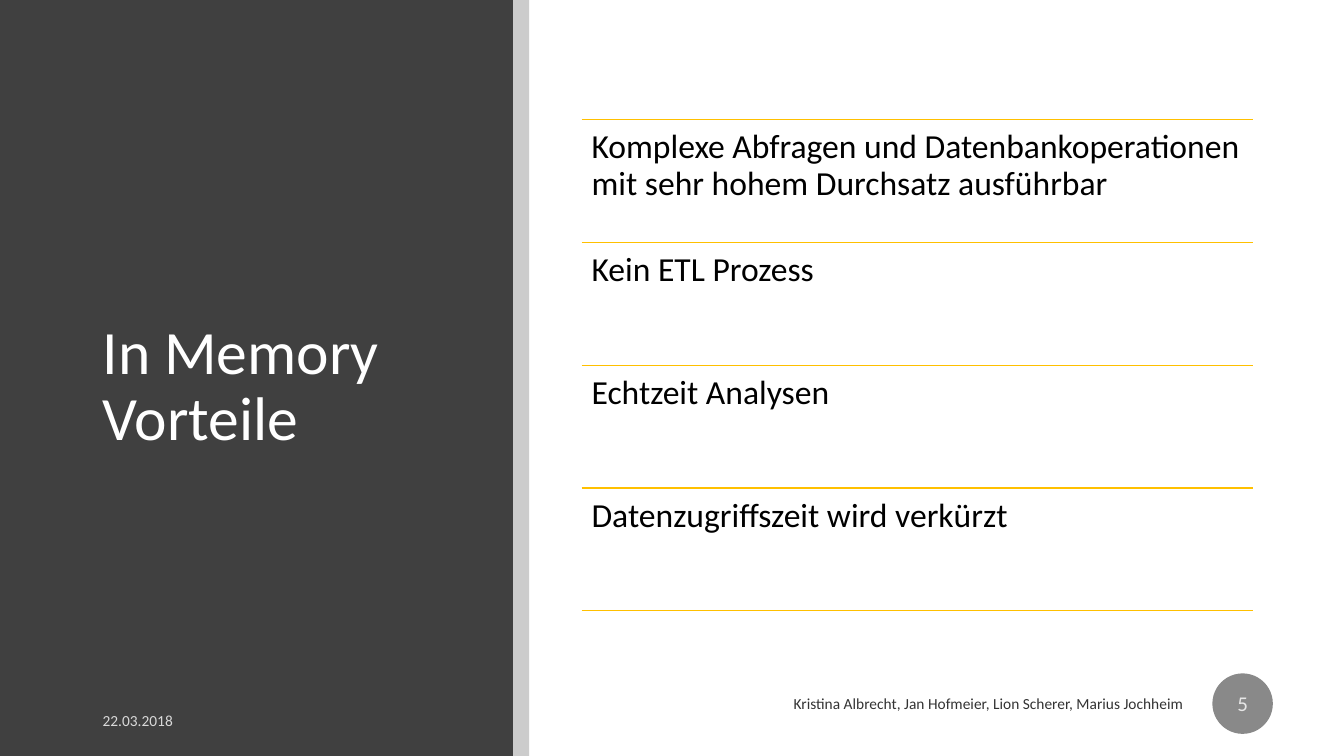
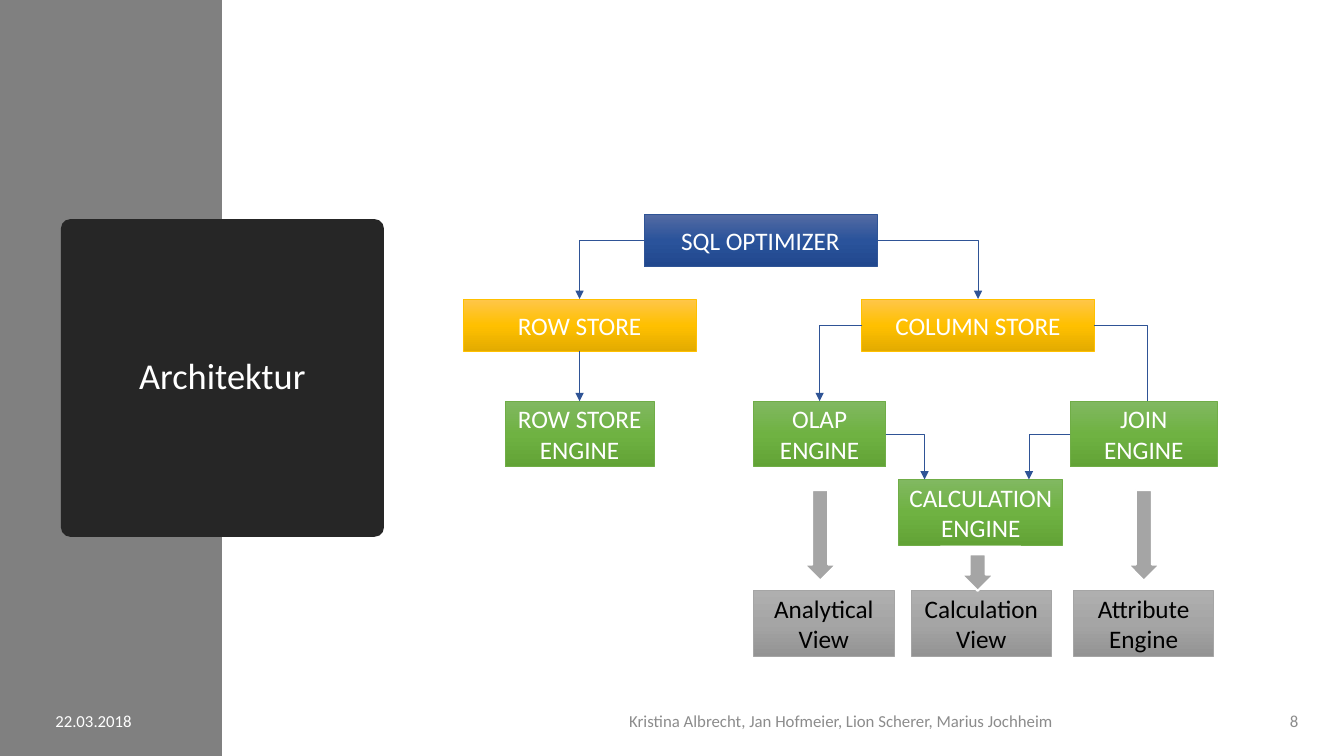
from copy import deepcopy
from typing import NamedTuple

from pptx import Presentation
from pptx.dml.color import RGBColor
from pptx.enum.shapes import MSO_CONNECTOR, MSO_SHAPE
from pptx.enum.text import MSO_ANCHOR, PP_ALIGN
from pptx.oxml.ns import qn
from pptx.oxml.xmlchemy import OxmlElement
from pptx.util import Pt

FONT = "Calibri"
DATE = "22.03.2018"
TEAM = "Kristina Albrecht, Jan Hofmeier, Lion Scherer, Marius Jochheim"
WIDE, HIGH = 960, 540
TOP, LEFT, LOW, RIGHT = 0, 1, 2, 3

HEX = {
    "white": "FFFFFF",
    "black": "000000",
    "panel": "404040",
    "strip": "CCCCCC",
    "pale": "D9D9D9",
    "dark": "333333",
    "badge": "898989",
    "page": "E7E7E7",
    "band": "808080",
    "card": "262626",
    "foot": "8C8C8C",
    "gold": "FFC000",
    "blue": "2F5496",
    "green": "70AD47",
    "gray": "A5A5A5",
}
FADES = {
    "blue": ("546BA3", "2A539B", "21488E"),
    "gold": ("FFC64B", "FFC000", "E3AB00"),
    "green": ("81B861", "6FB242", "62A336"),
    "gray": ("AFAFAF", "A5A5A5", "939393"),
}


class Area(NamedTuple):
    x: float
    y: float
    w: float
    h: float


class Node(NamedTuple):
    text: str
    area: Area
    hue: str
    ink: str = "white"


class Bend(NamedTuple):
    start: str
    side: int
    goal: str
    x: float | None = None
    head: bool = True


class Foot(NamedTuple):
    text: str
    area: Area
    size: float
    ink: str
    align: PP_ALIGN = PP_ALIGN.LEFT


def rgb(name: str) -> RGBColor:
    return RGBColor.from_string(HEX[name])


def write(shape, text: str, *, size: float, ink: str, align=PP_ALIGN.LEFT,
          anchor=MSO_ANCHOR.MIDDLE, space: float = 1, inset: float | None = None) -> None:
    frame = shape.text_frame
    frame.word_wrap = True
    frame.vertical_anchor = anchor
    if inset is not None:
        frame.margin_left = frame.margin_right = Pt(inset)
        frame.margin_top = frame.margin_bottom = Pt(inset)
    para = frame.paragraphs[0]
    para.text = text
    para.alignment = align
    para.line_spacing = space
    para.font.name = FONT
    para.font.size = Pt(size)
    para.font.color.rgb = rgb(ink)


def label(slide, area: Area, text: str, **form) -> None:
    write(slide.shapes.add_textbox(*map(Pt, area)), text, **form)


def block(slide, area: Area, fill: str, kind=MSO_SHAPE.RECTANGLE,
          edge: str | None = None, weight: float = 0.5):
    shape = slide.shapes.add_shape(kind, *map(Pt, area))
    shape.shadow.inherit = False
    shape.fill.solid()
    shape.fill.fore_color.rgb = rgb(fill)
    if edge:
        shape.line.color.rgb = rgb(edge)
        shape.line.width = Pt(weight)
    else:
        shape.line.fill.background()
    return shape


def fade(shape, hue: str) -> None:
    shape.fill.gradient()
    shape.fill.gradient_angle = 270
    stops = shape.element.spPr.find(qn("a:gradFill")).find(qn("a:gsLst"))
    stops.append(deepcopy(stops[0]))
    for spot, (stop, tone) in enumerate(zip(shape.fill.gradient_stops, FADES[hue])):
        stop.position = spot / 2
        stop.color.rgb = RGBColor.from_string(tone)


def wire(slide, x1: float, y1: float, x2: float, y2: float, hue: str, weight: float,
         bent: bool = False, head: bool = False):
    kind = MSO_CONNECTOR.ELBOW if bent else MSO_CONNECTOR.STRAIGHT
    line = slide.shapes.add_connector(kind, Pt(x1), Pt(y1), Pt(x2), Pt(y2))
    line.line.color.rgb = rgb(hue)
    line.line.width = Pt(weight)
    form = line.element.spPr
    if bent:
        form.find(qn("a:prstGeom")).set("prst", "bentConnector2")
    if head:
        tip = OxmlElement("a:tailEnd")
        tip.set("type", "triangle")
        form.find(qn("a:ln")).append(tip)
    form.append(OxmlElement("a:effectLst"))
    return line


def title(slide, area: Area, text: str, size: float, align=PP_ALIGN.LEFT) -> None:
    label(slide, area, text, size=size, ink="white", align=align, space=0.9)


def footer(slide, parts: list[Foot]) -> None:
    for part in parts:
        label(slide, part.area, part.text, size=part.size, ink=part.ink, align=part.align)


def merits(slide) -> None:
    block(slide, Area(0, 0, 366.5, HIGH), "panel")
    block(slide, Area(366.5, 0, 11.5, HIGH), "strip")
    title(slide, Area(66.2, 64, 262.8, 425.5), "In Memory Vorteile", 44)
    footer(slide, [
        Foot(DATE, Area(66.2, 500.5, 216, 28.8), 11, "pale"),
        Foot(TEAM, Area(430, 488.2, 422.6, 28.8), 11, "dark", PP_ALIGN.RIGHT),
    ])
    badge = block(slide, Area(866, 481, 43.2, 43.2), "badge", MSO_SHAPE.OVAL)
    write(badge, "5", size=15, ink="page", align=PP_ALIGN.CENTER)

    points = [
        "Komplexe Abfragen und Datenbankoperationen mit sehr hohem Durchsatz ausführbar",
        "Kein ETL Prozess",
        "Echtzeit Analysen",
        "Datenzugriffszeit wird verkürzt",
    ]
    x, y, w, step = 415.5, 85.5, 479.5, 87.7
    for row in range(len(points) + 1):
        wire(slide, x, y + row * step, x + w, y + row * step, "gold", 1)
    for row, text in enumerate(points):
        label(slide, Area(x, y + row * step, w, step), text, size=24, ink="black",
              anchor=MSO_ANCHOR.TOP, space=0.9, inset=7.2)


def design(slide) -> None:
    block(slide, Area(0, 0, 158.5, HIGH), "band")
    card = Area(43.5, 156.5, 230.8, 227)
    back = block(slide, card, "card", MSO_SHAPE.ROUNDED_RECTANGLE)
    back.adjustments[0] = 0.03
    title(slide, card, "Architektur", 26, PP_ALIGN.CENTER)
    footer(slide, [
        Foot(DATE, Area(32.4, 500.5, 116.6, 28.8), 12, "white"),
        Foot(TEAM, Area(324, 500.5, 553.7, 28.8), 12, "foot", PP_ALIGN.CENTER),
        Foot("8", Area(890.6, 500.5, 44, 28.8), 12, "foot", PP_ALIGN.RIGHT),
    ])

    w, h, tall = 166.4, 37.4, 46.8
    store, stage, view = 213.6, 286.6, 422
    nodes = {
        "sql": Node("SQL OPTIMIZER", Area(460, 153, w, h), "blue"),
        "row": Node("ROW STORE", Area(330.8, store, w, h), "gold"),
        "col": Node("COLUMN STORE", Area(615.4, store, w, h), "gold"),
        "rows": Node("ROW STORE ENGINE", Area(360.7, stage, 106.6, tall), "green"),
        "olap": Node("OLAP ENGINE", Area(538.3, stage, 94.4, tall), "green"),
        "join": Node("JOIN ENGINE", Area(764.6, stage, 104.8, tall), "green"),
        "calc": Node("CALCULATION ENGINE", Area(642, 342.5, 117.2, tall), "green"),
        "look": Node("Analytical View", Area(538.3, view, 100.3, tall), "gray", "black"),
        "sum": Node("Calculation View", Area(650.8, view, 100.3, tall), "gray", "black"),
        "trait": Node("Attribute Engine", Area(766.8, view, 100.3, tall), "gray", "black"),
    }
    boxes = {}
    for key, node in nodes.items():
        box = block(slide, node.area, node.hue, edge=node.hue)
        fade(box, node.hue)
        write(box, node.text, size=18, ink=node.ink, align=PP_ALIGN.CENTER)
        boxes[key] = box

    bends = [
        Bend("sql", RIGHT, "col"),
        Bend("sql", LEFT, "row"),
        Bend("col", LEFT, "olap"),
        Bend("col", RIGHT, "join", 819.4, False),
        Bend("join", LEFT, "calc", 735),
        Bend("olap", RIGHT, "calc", 660.4),
    ]
    for bend in bends:
        start, goal = nodes[bend.start].area, nodes[bend.goal].area
        x = start.x + (start.w if bend.side == RIGHT else 0)
        end = goal.x + goal.w / 2 if bend.x is None else bend.x
        line = wire(slide, x, start.y + start.h / 2, end, goal.y, "blue", 0.5, True, bend.head)
        line.begin_connect(boxes[bend.start], bend.side)
        if bend.x is None:
            line.end_connect(boxes[bend.goal], TOP)

    mid = nodes["row"].area.x + w / 2
    drop = wire(slide, mid, store + h, mid, stage, "blue", 0.5, head=True)
    drop.begin_connect(boxes["row"], LOW)
    drop.end_connect(boxes["rows"], TOP)

    for x, y, size in ((574.4, 350, 64.8), (805.6, 350, 64.8), (686.9, 396, 26)):
        block(slide, Area(x, y, 23, size), "gray", MSO_SHAPE.DOWN_ARROW, "white", 1.5)


def main() -> None:
    deck = Presentation()
    deck.slide_width, deck.slide_height = Pt(WIDE), Pt(HIGH)
    for draw in (merits, design):
        draw(deck.slides.add_slide(deck.slide_layouts[6]))
    deck.save("out.pptx")


if __name__ == "__main__":
    main()
